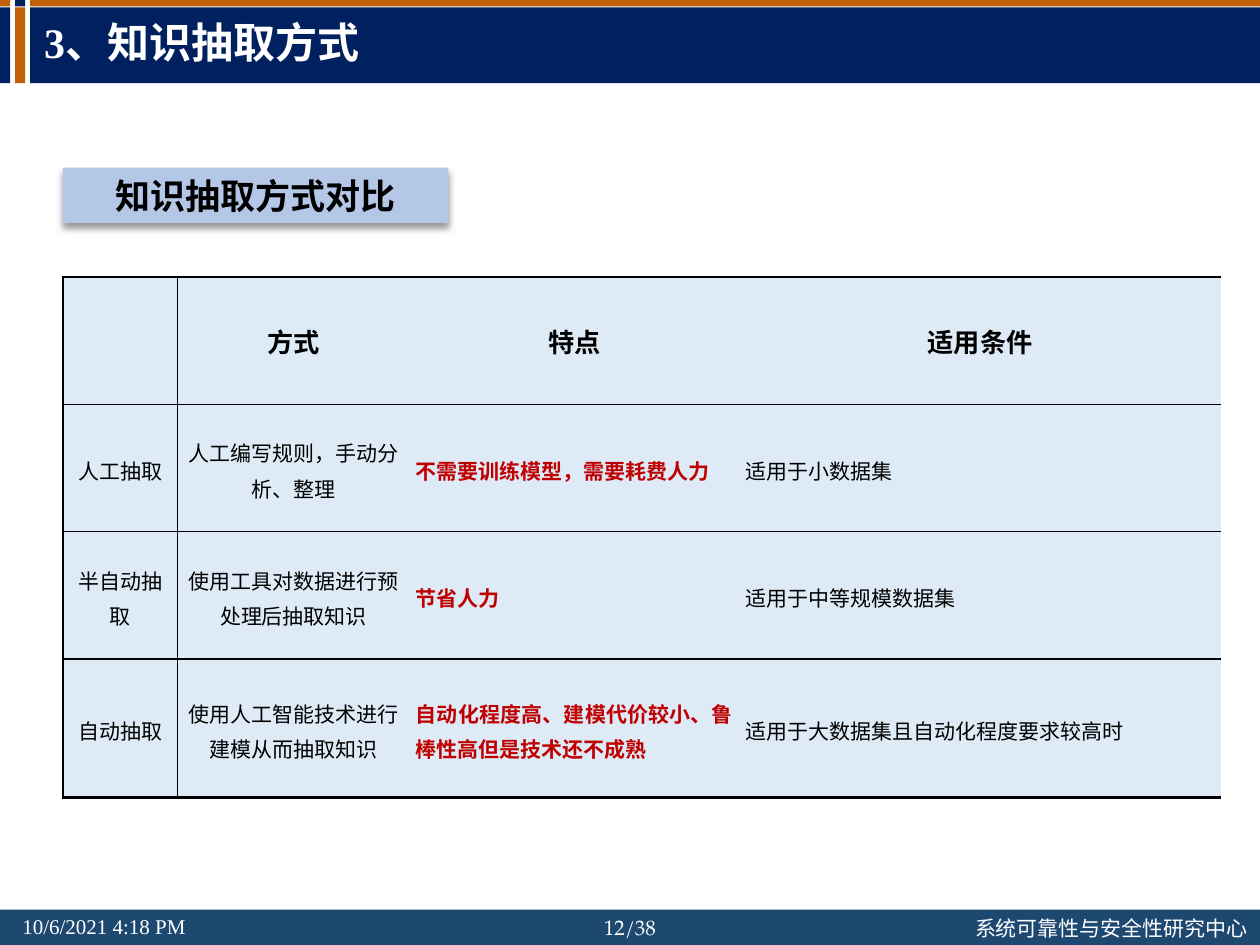
from lxml import etree
from pptx import Presentation
from pptx.dml.color import RGBColor
from pptx.enum.shapes import MSO_SHAPE
from pptx.enum.text import MSO_ANCHOR, PP_ALIGN
from pptx.oxml import parse_xml
from pptx.oxml.ns import nsdecls, qn
from pptx.util import Inches, Pt

COLORS = {"navy": "002060", "orange": "C16007", "footer": "1D4971", "label": "B4C7E7",
          "cell": "DEEBF7", "red": "C00000", "black": "000000", "white": "FFFFFF"}
CJK = "Noto Sans CJK SC"


def add_run(p, text, size, font, color, bold=False):
    r = p.add_run()
    r.text = text
    r.font.size, r.font.bold, r.font.name = Pt(size), bold, font
    r.font.color.rgb = RGBColor.from_string(COLORS[color])
    etree.SubElement(r.font._element, qn("a:ea")).set("typeface", CJK)


def add_bar(s, x, y, w, h, color):
    sp = s.shapes.add_shape(MSO_SHAPE.RECTANGLE, Inches(x), Inches(y), Inches(w), Inches(h))
    sp.shadow.inherit = False
    sp.fill.solid()
    sp.fill.fore_color.rgb = RGBColor.from_string(COLORS[color])
    sp.line.fill.background()
    return sp


prs = Presentation()
prs.slide_width, prs.slide_height = Inches(10), Inches(7.5)
s = prs.slides.add_slide(prs.slide_layouts[5])

# Footer band and header bars: a thin strip above a tall one in each column
add_bar(s, 0, 7.22, 10, 0.28, "footer")
for x, w, top, bottom in [(0.24, 9.76, "orange", "navy"),
                          (0.12, 0.08, "navy", "orange"),
                          (0, 0.08, "orange", "navy")]:
    add_bar(s, x, 0.06, w, 0.6, bottom)
    add_bar(s, x, 0, w, 0.05, top)

# Footer texts
for x, y, w, text, font, align in [
        (0.08, 7.2, 1.63, "10/6/2021 4:18 PM", "Times New Roman", PP_ALIGN.LEFT),
        (7.64, 7.22, 2.4, "系统可靠性与安全性研究中心", CJK, PP_ALIGN.LEFT),
        (4.65, 7.21, 0.7, "12/38", "TeX Gyre Pagella", PP_ALIGN.CENTER)]:
    tf = s.shapes.add_textbox(Inches(x), Inches(y), Inches(w), Inches(0.3)).text_frame
    tf.word_wrap = align == PP_ALIGN.CENTER
    p = tf.paragraphs[0]
    p.alignment = align
    add_run(p, text, 12, font, "white")

# Section label with a soft shadow
label = add_bar(s, 0.5, 1.33, 3.06, 0.44, "label")
label.shadow._element.find(qn("a:effectLst")).append(parse_xml(
    f'<a:outerShdw {nsdecls("a")} blurRad="50800" dist="38100" dir="5400000" algn="t" '
    'rotWithShape="0"><a:srgbClr val="000000"><a:alpha val="40000"/></a:srgbClr></a:outerShdw>'))
p = label.text_frame.paragraphs[0]
p.alignment = PP_ALIGN.CENTER
add_run(p, "知识抽取方式对比", 20, CJK, "black", True)

# Comparison table
rows = [
    ["", "方式", "特点", "适用条件"],
    ["人工抽取", "人工编写规则，手动分析、整理", "不需要训练模型，需要耗费人力", "适用于小数据集"],
    ["半自动抽取", "使用工具对数据进行预处理后抽取知识", "节省人力", "适用于中等规模数据集"],
    ["自动抽取", "使用人工智能技术进行建模从而抽取知识",
     "自动化程度高、建模代价较小、鲁棒性高但是技术还不成熟", "适用于大数据集且自动化程度要求较高时"],
]
widths, heights = [0.91, 1.84, 2.62, 3.82], [1.01, 1.01, 1.01, 1.1]
table = s.shapes.add_table(len(rows), len(widths), Inches(0.5), Inches(2.2),
                           Inches(sum(widths)), Inches(sum(heights))).table
table.first_row = table.horz_banding = False
for col, w in zip(table.columns, widths):
    col.width = Inches(w)
for row, h in zip(table.rows, heights):
    row.height = Inches(h)

for i, texts in enumerate(rows):
    for j, text in enumerate(texts):
        cell = table.cell(i, j)
        header = i == 0
        # Only the first column has side rules; every row has rules above and below
        borders = {"L": 1 if j < 2 else 0, "R": 1 if j == 0 else 0,
                   "T": 1, "B": 1.5 if i == len(rows) - 1 else 1}
        tcPr = cell._tc.get_or_add_tcPr()
        for side, width in borders.items():
            ln = etree.SubElement(tcPr, qn(f"a:ln{side}"), w=str(Pt(width)))
            if width:
                fill = etree.SubElement(ln, qn("a:solidFill"))
                etree.SubElement(fill, qn("a:srgbClr"), val=COLORS["black"])
            else:
                etree.SubElement(ln, qn("a:noFill"))
        cell.fill.solid()
        cell.fill.fore_color.rgb = RGBColor.from_string(COLORS["cell"])
        cell.vertical_anchor = MSO_ANCHOR.MIDDLE
        cell.margin_left = cell.margin_right = Inches(0.09 if header else 0.05)
        cell.margin_top = cell.margin_bottom = Inches(0.04 if header else 0)
        if not text:
            continue
        p = cell.text_frame.paragraphs[0]
        p.alignment = PP_ALIGN.CENTER if header or j < 2 else PP_ALIGN.JUSTIFY
        if not header:
            p.line_spacing = Pt(20)
        key = not header and j == 2
        add_run(p, text, 15 if header else 12, "Arial", "red" if key else "black", header or key)

# Title, brought in front of the header bars
title = s.shapes.title
title.left, title.top, title.width, title.height = (Inches(v) for v in (0.25, 0.06, 8.87, 0.6))
title.element.getparent().append(title.element)
tf = title.text_frame
tf.vertical_anchor = MSO_ANCHOR.MIDDLE
p = tf.paragraphs[0]
p.alignment = PP_ALIGN.LEFT
p.line_spacing = 0.9
add_run(p, "3、知识抽取方式", 24, "Times New Roman", "white", True)

prs.save("out.pptx")
